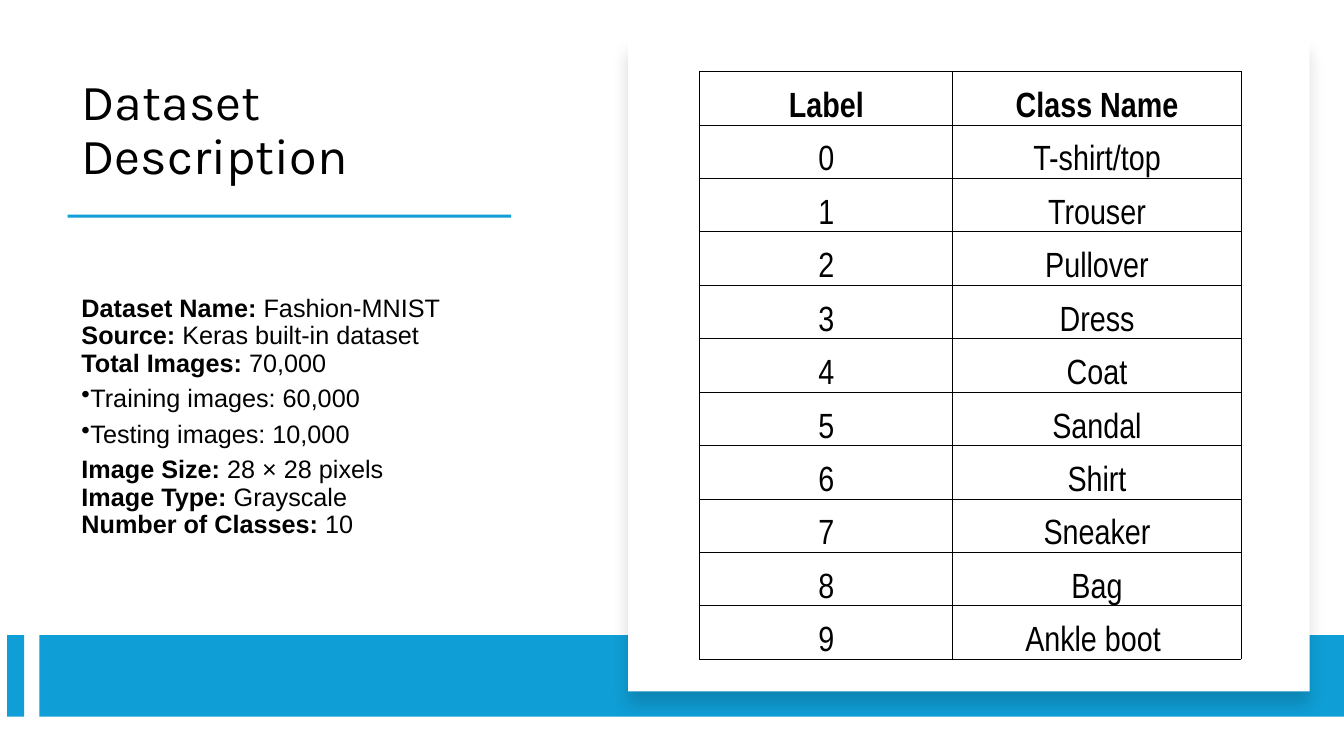
from dataclasses import dataclass

from lxml import etree
from pptx import Presentation, util as u
from pptx.dml.color import RGBColor
from pptx.enum import shapes, text
from pptx.oxml import ns


@dataclass(frozen=True)
class Theme:
    """Colours, fonts and type sizes of the slide."""
    blue: str = "0F9ED5"
    white: str = "FFFFFF"
    black: str = "000000"
    head: str = "Karla"
    body: str = "Arial"
    grid: str = "Arial Narrow"
    big: int = 36
    mid: int = 25
    small: int = 18


def node(parent, tag, **attrs):
    """Append an XML child with the given attributes."""
    return etree.SubElement(parent, ns.qn(tag), {k: str(v) for k, v in attrs.items()})


class Deck:
    """Draws styled elements on the current slide."""

    def __init__(self, theme):
        """Start a widescreen deck with one blank slide."""
        self.theme = theme
        self.prs = Presentation()
        self.prs.slide_width = u.Inches(13.33)
        self.prs.slide_height = u.Inches(7.5)
        self.slide = self.prs.slides.add_slide(self.prs.slide_layouts[6])

    def style(self, para, face, size, bold=None):
        """Set the font of a paragraph."""
        font = para.font
        font.name, font.size, font.bold = face, u.Pt(size), bold
        font.color.rgb = RGBColor.from_string(self.theme.black)

    def rect(self, x, y, w, h, color):
        """Add a plain filled rectangle."""
        box = self.slide.shapes.add_shape(
            shapes.MSO_SHAPE.RECTANGLE, *map(u.Inches, (x, y, w, h)))
        box.fill.solid()
        box.fill.fore_color.rgb = RGBColor.from_string(color)
        box.line.fill.background()
        box.shadow.inherit = False
        return box

    def card(self, x, y, w, h):
        """Add a white panel with a soft shadow below it."""
        box = self.rect(x, y, w, h, self.theme.white)
        glow = box._element.spPr.find(ns.qn("a:effectLst"))
        shade = node(glow, "a:outerShdw", blurRad=u.Pt(11), dist=u.Pt(10),
                     dir=90 * 60000, algn="t", rotWithShape=0)
        tint = node(shade, "a:srgbClr", val=self.theme.black)
        node(tint, "a:alpha", val=15000)

    def text(self, x, y, w, h, paras, face, size, anchor, after=0):
        """Add paragraphs, each a bullet flag and lines of label and value."""
        box = self.slide.shapes.add_textbox(*map(u.Inches, (x, y, w, h)))
        frame = box.text_frame
        frame.word_wrap = True
        frame.vertical_anchor = anchor
        for i, (dot, lines) in enumerate(paras):
            para = frame.add_paragraph() if i else frame.paragraphs[0]
            self.style(para, face, size)
            para.line_spacing = 0.9
            para.space_after = u.Pt(after)
            if dot:
                props = para._p.get_or_add_pPr()
                props.set("marL", "0")
                props.set("indent", "0")
                mark = etree.Element(ns.qn("a:buChar"), char="•")
                props.find(ns.qn("a:defRPr")).addprevious(mark)
            for j, (label, value) in enumerate(lines):
                if j:
                    para.add_line_break()
                if label:
                    run = para.add_run()
                    run.text = label
                    run.font.bold = True
                para.add_run().text = value

    def table(self, x, y, widths, high, rows):
        """Add a ruled table with a bold first row."""
        grid = self.slide.shapes.add_table(
            len(rows), len(widths), *map(u.Inches, (x, y, sum(widths), high * len(rows)))).table
        grid.horz_banding = False
        for col, wide in zip(grid.columns, widths):
            col.width = u.Inches(wide)
        for r, row in enumerate(rows):
            grid.rows[r].height = u.Inches(high)
            for c, word in enumerate(row):
                self.cell(grid.cell(r, c), word, r == 0)

    def cell(self, cell, word, bold):
        """Fill one cell with centred text and thin borders."""
        cell.text = word
        para = cell.text_frame.paragraphs[0]
        para.alignment = text.PP_ALIGN.CENTER
        self.style(para, self.theme.grid, self.theme.mid, bold)
        cell.vertical_anchor = text.MSO_ANCHOR.BOTTOM
        cell.margin_left = cell.margin_right = cell.margin_top = u.Inches(0.02)
        cell.margin_bottom = 0
        props = cell._tc.get_or_add_tcPr()
        for side in "LRTB":
            line = node(props, f"a:ln{side}", w=u.Pt(0.5))
            node(node(line, "a:solidFill"), "a:srgbClr", val=self.theme.black)
        cell.fill.background()


def main():
    """Build the dataset slide."""
    look = Theme()
    deck = Deck(look)
    deck.text(0.71, 0.58, 4.68, 1.31, [(False, [("", "Dataset Description")])],
              look.head, look.big, text.MSO_ANCHOR.BOTTOM)
    deck.rect(0.67, 2.13, 4.4, 0.03, look.blue)
    facts = [
        (False, [("Dataset Name:", " Fashion-MNIST"),
                 ("Source:", " Keras built-in dataset"),
                 ("Total Images:", " 70,000")]),
        (True, [("", "Training images: 60,000")]),
        (True, [("", "Testing images: 10,000")]),
        (False, [("Image Size:", " 28 × 28 pixels"),
                 ("Image Type:", " Grayscale"),
                 ("Number of Classes:", " 10")]),
    ]
    deck.text(0.71, 2.22, 4.68, 3.84, facts, look.body, look.small,
              text.MSO_ANCHOR.MIDDLE, after=6)
    for x, wide in ((0.07, 0.17), (0.39, 12.94)):
        deck.rect(x, 6.3, wide, 0.81, look.blue)
    deck.card(6.23, 0.39, 6.76, 6.47)
    names = ["T-shirt/top", "Trouser", "Pullover", "Dress", "Coat",
             "Sandal", "Shirt", "Sneaker", "Bag", "Ankle boot "]
    rows = [("Label", "Class Name")] + [(str(i), name) for i, name in enumerate(names)]
    deck.table(6.94, 0.71, (2.51, 2.86), 0.53, rows)
    deck.prs.save("out.pptx")


if __name__ == "__main__":
    main()
